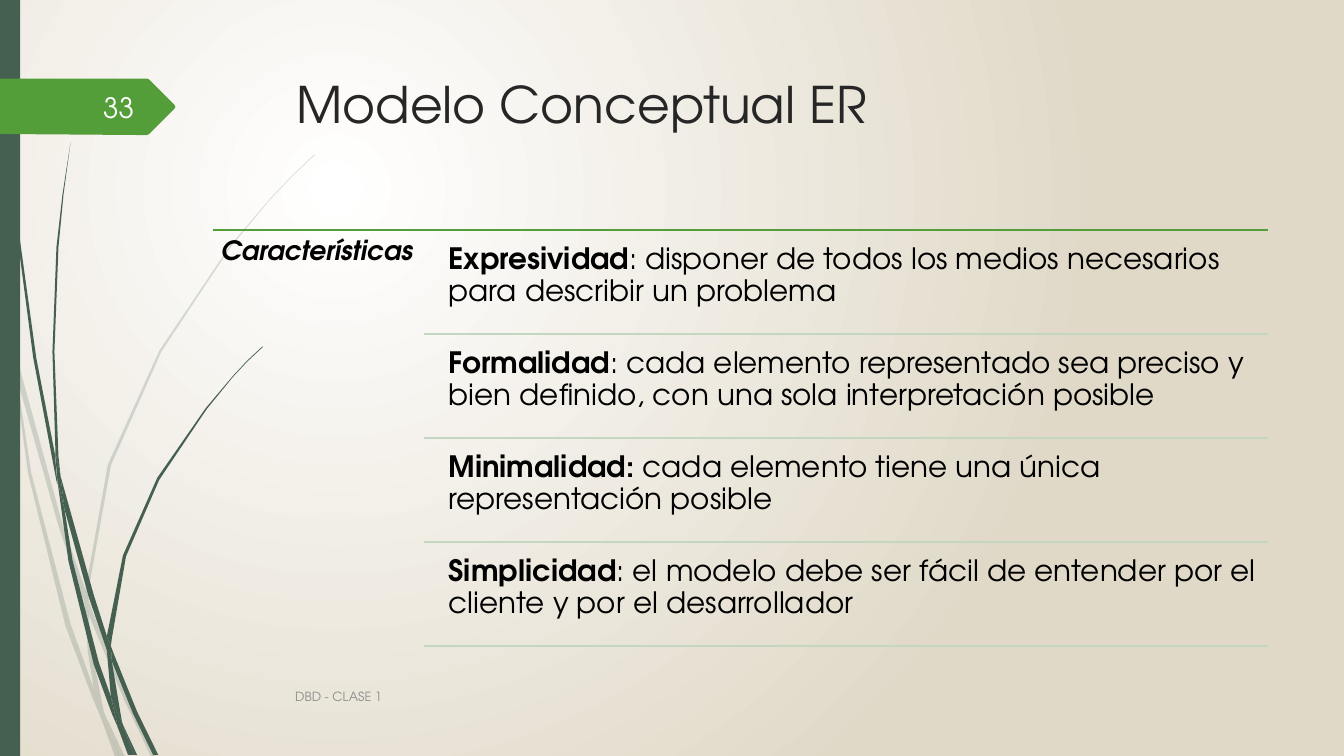
from lxml.etree import SubElement
from pptx import Presentation
from pptx.dml.color import RGBColor
from pptx.enum.shapes import MSO_CONNECTOR, MSO_SHAPE
from pptx.enum.text import MSO_ANCHOR, PP_ALIGN
from pptx.oxml.ns import qn
from pptx.util import Inches, Pt

FONT = "TeX Gyre Adventor"
WHITE = RGBColor(0xFF, 0xFF, 0xFF)
SAND = RGBColor(0xE0, 0xD9, 0xC8)
PINE = RGBColor(0x45, 0x5F, 0x51)
GREEN = RGBColor(0x54, 0x9E, 0x39)
PALE = RGBColor(0xC3, 0xD6, 0xBF)
DARK = RGBColor(0x26, 0x26, 0x26)
GRAY = RGBColor(0x8C, 0x8C, 0x8C)
BLACK = RGBColor(0, 0, 0)

# Blade outlines, in hundredths of an inch
FAINT = [
    [(11, 350), (9, 322), (0, 282), (0, 299), (10, 344)],
    [(58, 522), (84, 599), (85, 586), (62, 520), (14, 345), (17, 376)],
    [(92, 607), (88, 596), (88, 610), (123, 694), (150, 751), (155, 751), (127, 692)],
    [(119, 751), (124, 751), (105, 711)],
    [(93, 683), (70, 619), (31, 469), (17, 376), (11, 350), (28, 470),
     (65, 621), (92, 693), (101, 714), (99, 707)],
    [(84, 599), (87, 646), (93, 683), (96, 692), (105, 711), (103, 706),
     (91, 646), (88, 610), (88, 608)],
    [(88, 584), (110, 462), (160, 349), (229, 245), (268, 198), (290, 175),
     (312, 154), (312, 153), (289, 175), (268, 197), (228, 244), (158, 348),
     (107, 461), (85, 584), (85, 586), (88, 596)],
    [(101, 714), (114, 751), (119, 751)],
    [(88, 608), (88, 610), (88, 596), (85, 586), (84, 599)],
    [(96, 692), (93, 683), (99, 707), (101, 714), (119, 751), (105, 711)],
]
SOLID = [
    [(7, 110), (17, 233), (33, 355), (56, 477), (57, 481), (55, 457), (55, 453),
     (36, 355), (19, 232), (8, 109), (5, 48), (4, 0), (3, 0), (4, 48)],
    [(88, 592), (106, 645), (106, 633), (106, 631), (93, 590), (60, 472), (64, 505)],
    [(113, 649), (110, 641), (111, 656), (132, 708), (152, 749), (157, 749), (136, 706)],
    [(110, 691), (98, 657), (72, 556), (64, 505), (57, 477), (68, 557),
     (93, 659), (111, 708), (117, 722), (116, 717)],
    [(60, 472), (58, 453), (54, 349), (58, 245), (63, 193), (70, 141),
     (62, 193), (56, 245), (52, 349), (55, 449)],
    [(133, 749), (136, 749), (122, 719)],
    [(57, 477), (64, 505), (60, 472), (55, 449), (55, 453)],
    [(111, 633), (125, 552), (158, 476), (205, 406), (231, 374), (245, 359),
     (261, 344), (260, 344), (245, 358), (231, 373), (204, 405), (156, 474),
     (122, 551), (106, 631), (110, 641)],
    [(117, 722), (127, 749), (131, 749)],
    [(106, 645), (110, 691), (116, 706), (122, 719), (121, 716), (111, 656), (109, 651)],
    [(106, 645), (109, 651), (111, 656), (110, 641), (106, 631), (106, 633)],
    [(116, 706), (110, 691), (116, 717), (117, 722), (130, 749), (133, 749), (122, 719)],
]
TAG = [(173, 108), (148, 133), (146, 134), (136, 134), (0, 133), (0, 78),
       (146, 78), (148, 79), (173, 104), (174, 106)]


def draw(shapes, points, color):
    form = shapes.build_freeform(*points[0], scale=Inches(0.01))
    form.add_line_segments(points[1:], close=True)
    shape = form.convert_to_shape()
    shape.shadow.inherit = False
    shape.fill.solid()
    shape.fill.fore_color.rgb = color
    shape.line.fill.background()
    return shape


def write(box, runs, size, color, inset=None):
    left, top, width, height = map(Inches, box)
    frame = slide.shapes.add_textbox(left, top, width, height).text_frame
    frame.word_wrap = True
    para = frame.paragraphs[0]
    para.font.name = FONT
    para.font.size = Pt(size)
    para.font.color.rgb = color
    for text in runs:
        para.add_run().text = text
    if inset:
        para.line_spacing = 0.9
        frame.margin_left = frame.margin_right = Inches(inset)
        frame.margin_top = frame.margin_bottom = Inches(inset)
    return frame


deck = Presentation()
deck.slide_width = Inches(13.33)
deck.slide_height = Inches(7.5)
slide = deck.slides.add_slide(deck.slide_layouts[6])

# Radial background
back = slide.background.fill
back.gradient()
for stop, color in zip(back.gradient_stops, (WHITE, SAND)):
    stop.color.rgb = color
grad = slide.element.find(".//" + qn("a:gradFill"))
grad.remove(grad.find(qn("a:lin")))
glow = SubElement(grad, qn("a:path"), {"path": "circle"})
SubElement(glow, qn("a:fillToRect"), l="50000", t="50000", r="100000", b="100000")

# Grass blades
faint = slide.shapes.add_group_shape().shapes
for blade in FAINT:
    shape = draw(faint, blade, PINE)
    tint = shape.fill._xPr.find(".//" + qn("a:srgbClr"))
    SubElement(tint, qn("a:alpha"), val="20000")
solid = slide.shapes.add_group_shape().shapes
for blade in SOLID:
    draw(solid, blade, PINE)

# Side bar and page tag
bar = slide.shapes.add_shape(MSO_SHAPE.RECTANGLE, 0, 0, Inches(0.2), Inches(7.5))
bar.shadow.inherit = False
bar.fill.solid()
bar.fill.fore_color.rgb = PINE
bar.line.fill.background()
draw(slide.shapes, TAG, GREEN)

# Title and heading
write((2.84, 0.68, 9.75, 1.4), ["Modelo Conceptual ER"], 36, DARK)
head = write((2.11, 2.28, 2.09, 4.18), ["Características"], 19, BLACK, 0.08)
head.paragraphs[0].font.bold = True
head.paragraphs[0].font.italic = True

# Traits
TRAITS = [
    ("Expresividad", ": disponer de todos los medios necesarios para describir un problema"),
    ("Formalidad", ": cada elemento representado sea preciso y bien definido, "
                   "con una sola interpretación posible"),
    ("Minimalidad: ", "cada elemento tiene una única representación posible"),
    ("Simplicidad", ": el modelo debe ser fácil de entender por el cliente "
                    "y por el desarrollador"),
]
STEP = 3.1 / 3
rules = [(2.11, 2.28, GREEN)]
for row, trait in enumerate(TRAITS):
    frame = write((4.36, 2.33 + row * STEP, 8.22, 0.98), trait, 21, BLACK, 0.09)
    frame.paragraphs[0].runs[0].font.bold = True
    rules.append((4.21, 3.31 + row * STEP, PALE))

# Rules
for left, top, color in rules:
    rule = slide.shapes.add_connector(
        MSO_CONNECTOR.STRAIGHT, Inches(left), Inches(top), Inches(12.58), Inches(top))
    rule.line.color.rgb = color
    rule.line.width = Pt(1.25)
    SubElement(rule.element.spPr, qn("a:effectLst"))

# Footer and page number
foot = write((2.83, 6.71, 8.33, 0.4), ["DBD - CLASE 1"], 9, GRAY)
page = write((0.58, 0.86, 0.85, 0.4), ["33"], 20, WHITE)
page.paragraphs[0].alignment = PP_ALIGN.RIGHT
for frame in (foot, page):
    frame.vertical_anchor = MSO_ANCHOR.MIDDLE

deck.save("out.pptx")
